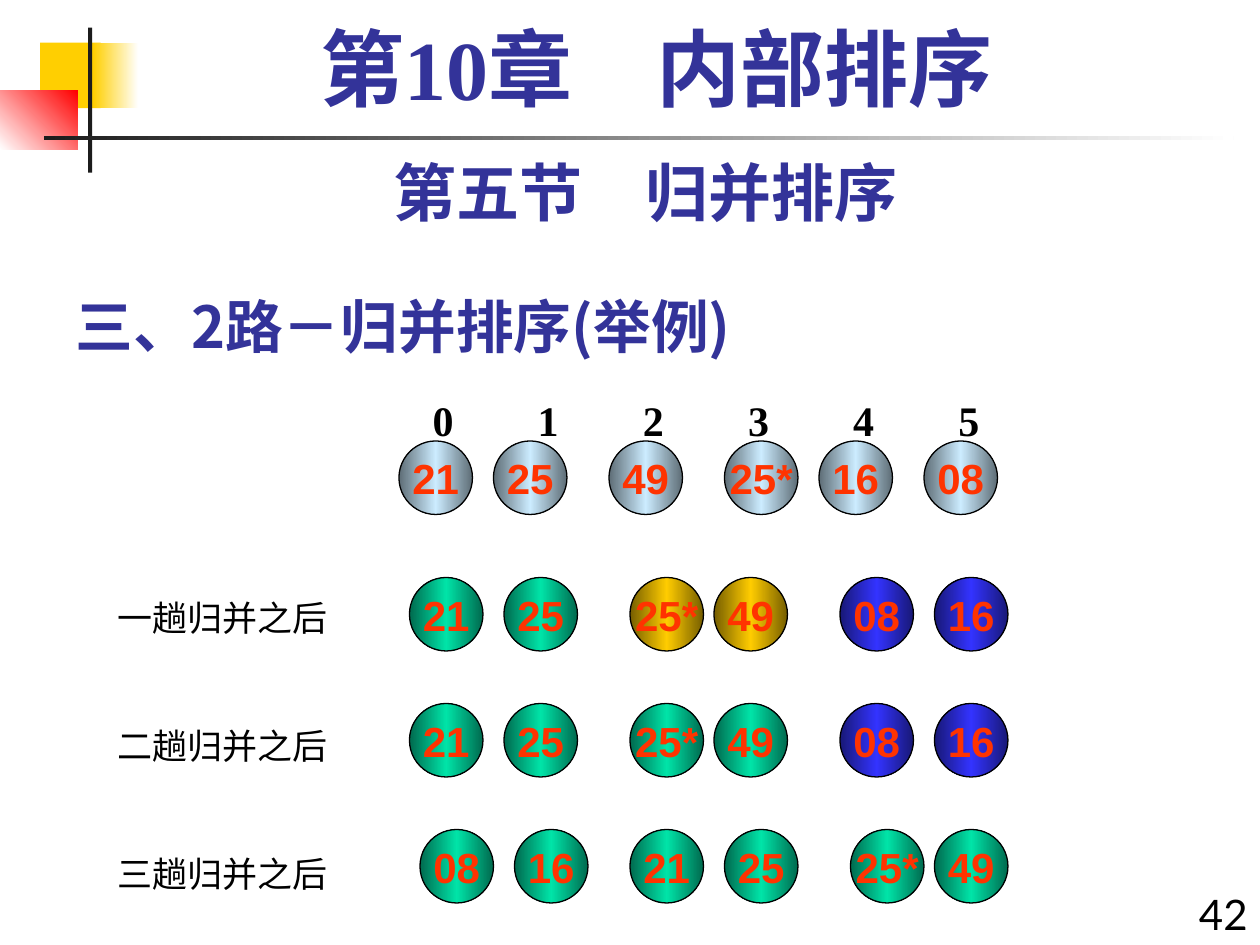
from copy import deepcopy
from dataclasses import dataclass

from pptx import Presentation
from pptx import util as u
from pptx.dml.color import RGBColor
from pptx.enum import shapes, text
from pptx.oxml import parse_xml
from pptx.oxml.ns import nsdecls, qn

GRID = 2.54 / 12
DIAMETER = 7


@dataclass(frozen=True)
class Theme:
    heading: str = "333399"
    ink: str = "000000"
    bar: str = "1C1C1C"
    key: str = "FF3300"
    yellow: str = "FFCF01"
    red: str = "FF0000"
    paper: str = "FFFFFF"
    silver: tuple = ("5E6D76", "CCECFF", "5E6D76")
    green: tuple = ("006A4E", "00E4A8", "006A4E")
    gold: tuple = ("765E00", "FFCC00", "765E00")
    blue: tuple = ("181876", "3333FF", "181876")
    sans: str = "Lato"
    serif: str = "Times New Roman"
    cjk: str = "Noto Sans CJK SC"
    round: str = "Arial"
    chapter_size: int = 48
    section_size: int = 36
    title_size: int = 33
    key_size: int = 24
    label_size: int = 20


class SlideBuilder:
    """Adds styled elements to one slide."""

    def __init__(self, prs, theme):
        self.theme = theme
        self.slide = prs.slides.add_slide(prs.slide_layouts[5])

    def font(self, p, name, size, color, bold=False):
        p.font.name, p.font.size, p.font.bold = name, u.Pt(size), bold
        p.font.color.rgb = RGBColor.from_string(color)

    def paint(self, sp, colors, angle=0):
        sp.shadow.inherit = False
        if len(colors) == 1:
            sp.fill.solid()
            sp.fill.fore_color.rgb = RGBColor.from_string(colors[0])
            return
        sp.fill.gradient()
        sp.fill.gradient_angle = angle
        stops = sp._element.spPr.find(".//" + qn("a:gsLst"))
        for _ in colors[2:]:
            stops.append(deepcopy(stops[-1]))
        for i, (stop, color) in enumerate(zip(sp.fill.gradient_stops, colors)):
            stop.position = i / (len(colors) - 1)
            stop.color.rgb = RGBColor.from_string(color)

    def block(self, left, top, width, height, *colors, angle=0):
        sp = self.slide.shapes.add_shape(
            shapes.MSO_SHAPE.RECTANGLE, *map(u.Cm, (left, top, width, height)))
        self.paint(sp, colors, angle)
        sp.line.fill.background()

    def title(self, words, left, top, width, height):
        sp = self.slide.shapes.title
        sp.left, sp.top, sp.width, sp.height = map(u.Cm, (left, top, width, height))
        tf = sp.text_frame
        tf.text = words
        tf.word_wrap, tf.auto_size = True, text.MSO_AUTO_SIZE.NONE
        tf.vertical_anchor = text.MSO_ANCHOR.BOTTOM
        p = tf.paragraphs[0]
        p.alignment = text.PP_ALIGN.LEFT
        t = self.theme
        self.font(p, t.cjk, t.title_size, t.heading, True)

    def text(self, lines, left, top, width, height, name, size, color, bold=False,
             align=text.PP_ALIGN.LEFT, leading=None, gap=0, tab=None):
        sp = self.slide.shapes.add_textbox(*map(u.Cm, (left, top, width, height)))
        tf = sp.text_frame
        tf.word_wrap = True
        for i, line in enumerate(lines):
            p = tf.add_paragraph() if i else tf.paragraphs[0]
            p.text = line
            p.alignment, p.line_spacing = align, leading
            if i:
                p.space_before = u.Pt(gap)
            if tab:
                stops = "".join(f'<a:tab pos="{u.Cm(tab * n)}" algn="l"/>'
                                for n in range(1, line.count("\t") + 1))
                p._p.get_or_add_pPr().append(
                    parse_xml(f'<a:tabLst {nsdecls("a")}>{stops}</a:tabLst>'))
            self.font(p, name, size, color, bold)

    def key_row(self, top, keys):
        group = self.slide.shapes.add_group_shape()
        t = self.theme
        for column, words, colors in keys:
            sp = group.shapes.add_shape(
                shapes.MSO_SHAPE.OVAL,
                *(u.Cm(n * GRID) for n in (column, top, DIAMETER, DIAMETER)))
            self.paint(sp, colors)
            sp.line.color.rgb = RGBColor.from_string(t.ink)
            sp.line.width = u.Pt(0.75)
            tf = sp.text_frame
            tf.text = words
            tf.word_wrap = False
            tf.vertical_anchor = text.MSO_ANCHOR.MIDDLE
            p = tf.paragraphs[0]
            p.alignment = text.PP_ALIGN.CENTER
            self.font(p, t.round, t.key_size, t.key, True)


def main():
    prs = Presentation()
    prs.slide_width, prs.slide_height = u.Cm(25.4), u.Cm(19.05)
    t = Theme()
    s = SlideBuilder(prs, t)
    center, right = text.PP_ALIGN.CENTER, text.PP_ALIGN.RIGHT

    s.block(0.81, 0.86, 1.22, 1.32, t.yellow)
    s.block(1.88, 0.86, 0.91, 1.32, t.yellow, t.paper)
    s.block(0, 1.83, 1.57, 1.18, t.paper, t.red, angle=45)
    s.block(1.78, 0.56, 0.08, 2.92, t.bar)
    s.block(0.89, 2.74, 23.98, 0.09, t.bar, t.paper)

    s.title("三、2路－归并排序(举例)", 1.27, 5.51, 15.88, 1.88)
    s.text(["42"], 23.7, 17.78, 1.7, 1.47, t.sans, t.key_size, t.ink, align=right)
    s.text(["第五节　归并排序"], 1.27, 2.97, 23.5, 1.78, t.sans, t.section_size,
           t.heading, True, center)
    s.text(["第10章　内部排序"], 1.7, 0.43, 23.06, 2.11, t.serif, t.chapter_size,
           t.heading, True, center, leading=0.9)
    s.text(["\t".join("012345")], 8.47, 7.83, 12.37, 1.27, t.serif, t.key_size,
           t.ink, True, tab=2.12)

    rows = [
        (42, (38, 47, 58, 69, 78, 88), "21 25 49 25* 16 08", [t.silver] * 6),
        (55, (39, 48, 60, 68, 80, 89), "21 25 25* 49 08 16",
         [t.green] * 2 + [t.gold] * 2 + [t.blue] * 2),
        (67, (39, 48, 60, 68, 80, 89), "21 25 25* 49 08 16",
         [t.green] * 4 + [t.blue] * 2),
        (79, (40, 49, 60, 69, 81, 89), "08 16 21 25 25* 49", [t.green] * 6),
    ]
    for top, columns, keys, colors in rows:
        s.key_row(top, zip(columns, keys.split(), colors))

    s.text([f"{n}趟归并之后" for n in "一二三"], 2.12, 11.9, 5.28, 6.25,
           t.sans, t.label_size, t.ink, leading=u.Pt(24), gap=49)
    prs.save("out.pptx")


if __name__ == "__main__":
    main()
